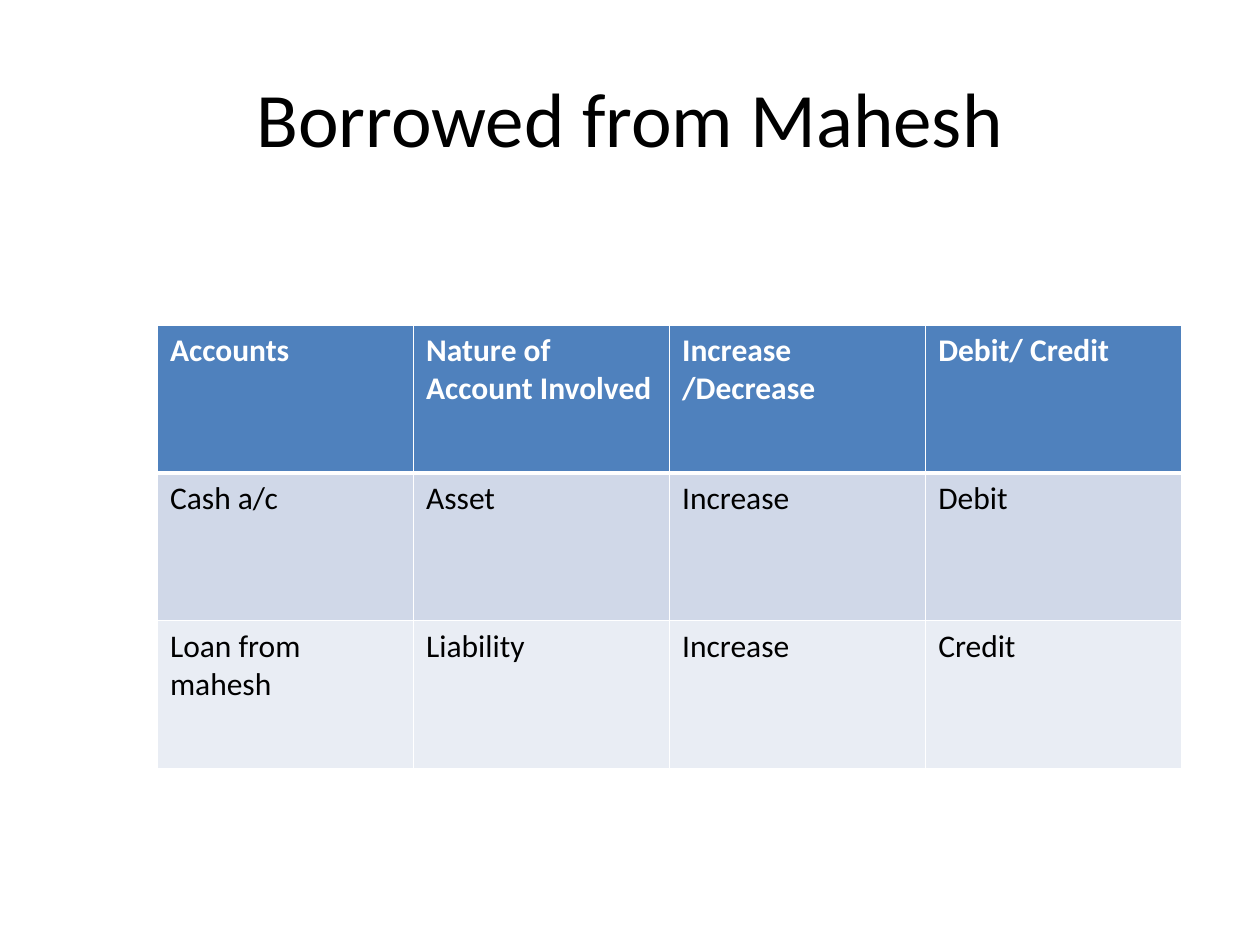
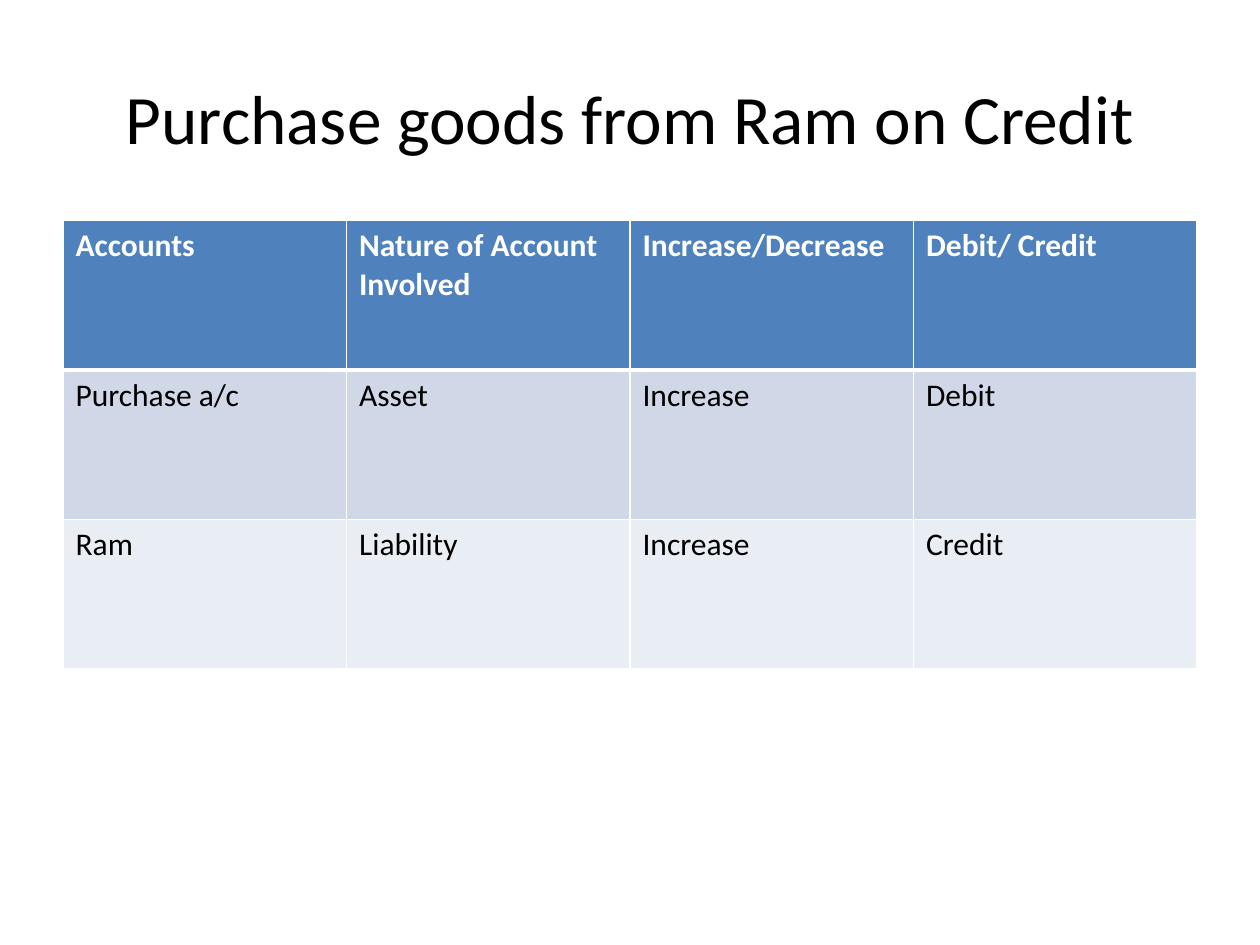
import pptx
import pptx.dml.color
import pptx.enum.text
import pptx.oxml.ns
import pptx.util
from lxml import etree

Inches = pptx.util.Inches
Pt = pptx.util.Pt
RGBColor = pptx.dml.color.RGBColor

FONT = "Calibri"
WHITE = RGBColor(0xFF, 0xFF, 0xFF)
BLACK = RGBColor(0, 0, 0)
HEADER_BLUE = RGBColor(0x4F, 0x81, 0xBD)
BANDS = [RGBColor(0xD0, 0xD8, 0xE8), RGBColor(0xE9, 0xED, 0xF4)]
THIN, THICK = 1, 3


def add_run(paragraph, text, size, color, bold=False):
    run = paragraph.add_run()
    run.text = text
    run.font.name = FONT
    run.font.size = Pt(size)
    run.font.bold = bold
    run.font.color.rgb = color


def add_title(slide, text, size):
    box = slide.shapes.add_textbox(Inches(0.5), Inches(0.3), Inches(9), Inches(1.25))
    frame = box.text_frame
    frame.word_wrap = True
    frame.vertical_anchor = pptx.enum.text.MSO_ANCHOR.MIDDLE
    paragraph = frame.paragraphs[0]
    paragraph.alignment = pptx.enum.text.PP_ALIGN.CENTER
    add_run(paragraph, text, size, BLACK)


def add_borders(cell, top, bottom):
    properties = cell._tc.get_or_add_tcPr()
    widths = {"a:lnL": THIN, "a:lnR": THIN, "a:lnT": top, "a:lnB": bottom}
    for tag, width in widths.items():
        line = etree.SubElement(properties, pptx.oxml.ns.qn(tag), w=str(Pt(width)))
        fill = etree.SubElement(line, pptx.oxml.ns.qn("a:solidFill"))
        etree.SubElement(fill, pptx.oxml.ns.qn("a:srgbClr"), val=str(WHITE))


def fill_cell(cell, text, row_index):
    is_header = row_index == 0
    add_borders(cell, THICK if row_index == 1 else THIN, THICK if is_header else THIN)
    cell.fill.solid()
    cell.fill.fore_color.rgb = HEADER_BLUE if is_header else BANDS[(row_index - 1) % 2]
    frame = cell.text_frame
    for index, line in enumerate(text.split("\n")):
        paragraph = frame.add_paragraph() if index else frame.paragraphs[0]
        add_run(paragraph, line, 18, WHITE if is_header else BLACK, is_header)


def add_accounts_table(slide, left, top, width, height, change_heading, debit_account, credit_account):
    rows = [
        ["Accounts", "Nature of Account Involved", change_heading, "Debit/ Credit"],
        [debit_account, "Asset", "Increase", "Debit"],
        [credit_account, "Liability", "Increase", "Credit"],
    ]
    table = slide.shapes.add_table(
        len(rows), len(rows[0]), Inches(left), Inches(top), Inches(width), Inches(height)
    ).table
    for row_index, row in enumerate(rows):
        for column_index, text in enumerate(row):
            fill_cell(table.cell(row_index, column_index), text, row_index)


def main():
    presentation = pptx.Presentation()
    presentation.slide_width = Inches(10)
    presentation.slide_height = Inches(7.5)
    blank = presentation.slide_layouts[6]

    loan = presentation.slides.add_slide(blank)
    add_title(loan, "Borrowed from Mahesh", 44)
    add_accounts_table(loan, 1.25, 2.58, 8.13, 3.52,
                       "Increase\n/Decrease", "Cash a/c", "Loan from mahesh")

    purchase = presentation.slides.add_slide(blank)
    add_title(purchase, "Purchase goods from Ram on Credit", 39.6)
    add_accounts_table(purchase, 0.5, 1.75, 9, 3.56,
                       "Increase/Decrease", "Purchase a/c", "Ram")

    presentation.save("out.pptx")


if __name__ == "__main__":
    main()
